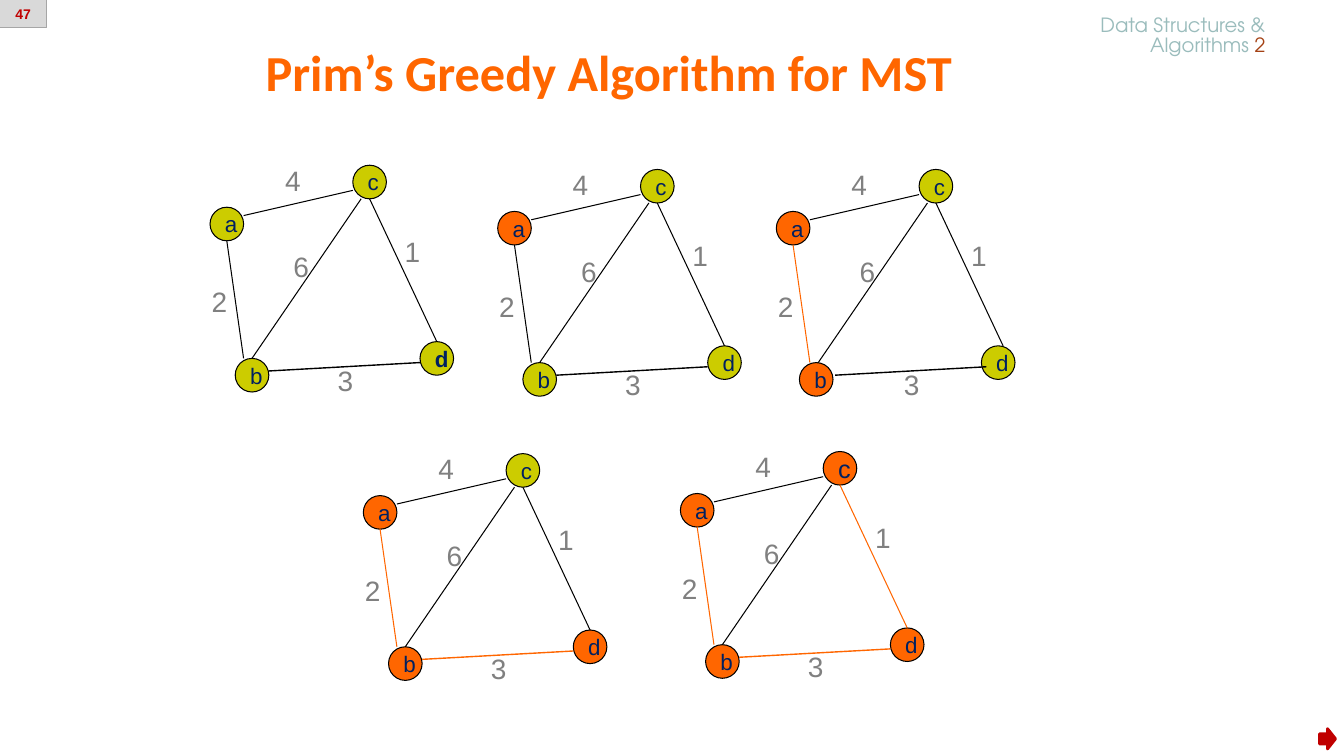
from dataclasses import dataclass

from pptx import Presentation
from pptx.dml.color import RGBColor
from pptx.enum.shapes import MSO_CONNECTOR, MSO_SHAPE
from pptx.enum.text import MSO_ANCHOR, PP_ALIGN
from pptx.oxml.ns import qn
from pptx.util import Pt


@dataclass(frozen=True)
class Theme:
    orange: str = "FF6600"
    olive: str = "CCCC00"
    navy: str = "002060"
    black: str = "000000"
    grey: str = "808080"
    teal: str = "9ABCBC"
    rust: str = "A44114"
    red: str = "C00000"
    badge: str = "D9D9D9"
    badge_line: str = "A6A6A6"
    body: str = "Arial"
    heading: str = "Calibri"
    course: str = "TeX Gyre Adventor"
    title_size: int = 36
    weight_size: int = 20
    node_size: int = 16
    big_node_size: int = 18
    course_size: int = 14
    page_size: int = 10


theme = Theme()


def style(paragraph, size, color, face=theme.body, bold=False, align=PP_ALIGN.LEFT):
    paragraph.alignment = align
    font = paragraph.font
    font.size, font.name, font.bold = Pt(size), face, bold
    font.color.rgb = RGBColor.from_string(color)


def add_solid(preset, x, y, w, h, fill, line, line_width):
    solid = slide.shapes.add_shape(preset, Pt(x), Pt(y), Pt(w), Pt(h))
    solid.shadow.inherit = False
    solid.fill.solid()
    solid.fill.fore_color.rgb = RGBColor.from_string(fill)
    solid.line.color.rgb = RGBColor.from_string(line)
    solid.line.width = Pt(line_width)
    solid.text_frame.vertical_anchor = MSO_ANCHOR.MIDDLE
    return solid


presentation = Presentation()
presentation.slide_width, presentation.slide_height = Pt(960), Pt(540)
slide = presentation.slides.add_slide(presentation.slide_layouts[6])

# Title
title = slide.shapes.add_textbox(Pt(157), Pt(33.8), Pt(556), Pt(42.5)).text_frame
title.word_wrap = True
title.vertical_anchor = MSO_ANCHOR.BOTTOM
title.text = "Prim’s Greedy Algorithm for MST"
style(title.paragraphs[0], theme.title_size, theme.orange, theme.heading, True, PP_ALIGN.CENTER)

# The weighted graph, measured from its own top left corner
NODE = 24
nodes = {"c": (102, 0), "d": (150, 126), "b": (18, 138), "a": (0, 30)}
# edge: start, end, line width, weight, place of the weight
edges = {
    "ac": ((24, 36), (102, 18), 0.75, "4", (46.5, -5)),
    "ab": ((24, 138), (12, 54), 0.75, "2", (-6, 82)),
    "bc": ((30, 138), (108, 24), 0.75, "6", (52.5, 57)),
    "cd": ((162, 126), (114, 24), 0.75, "1", (132, 46)),
    "bd": ((42, 147), (150, 141), 1, "3", (84, 138)),
}

# Stages: origin, nodes reached, edges chosen, nodes moved, bold node, larger node
stages = [
    ((150, 118), "", [], {}, "d", ""),
    ((355.5, 121), "a", [], {}, "", ""),
    ((554.5, 121), "ab", ["ab"], {"b": -1.5, "d": -3.5}, "", ""),
    ((259.5, 324), "abd", ["ab", "bd"], {}, "", ""),
    ((486, 322.5), "abcd", ["ab", "bd", "cd"], {}, "", "c"),
]

for (left, top), reached, chosen, moved, bold_node, big_node in stages:
    for letter, (x, y) in nodes.items():
        node = add_solid(
            MSO_SHAPE.OVAL, left + x + moved.get(letter, 0), top + y, NODE, NODE,
            theme.orange if letter in reached else theme.olive, theme.black, 0.75)
        node.text_frame.word_wrap = False
        node.text_frame.text = letter
        size = theme.big_node_size if letter == big_node else theme.node_size
        style(node.text_frame.paragraphs[0], size, theme.navy, bold=letter == bold_node)

    for name, ((x1, y1), (x2, y2), width, cost, (cost_x, cost_y)) in edges.items():
        edge = slide.shapes.add_connector(
            MSO_CONNECTOR.STRAIGHT, Pt(left + x1), Pt(top + y1), Pt(left + x2), Pt(top + y2))
        edge.line.color.rgb = RGBColor.from_string(
            theme.orange if name in chosen else theme.black)
        edge.line.width = Pt(width)
        properties = edge.element.spPr
        properties.append(properties.makeelement(qn("a:effectLst"), {}))

        weight = slide.shapes.add_textbox(
            Pt(left + cost_x), Pt(top + cost_y), Pt(26), Pt(31.5)).text_frame
        weight.word_wrap = False
        weight.text = cost
        style(weight.paragraphs[0], theme.weight_size, theme.grey)

# Course name
course = slide.shapes.add_textbox(Pt(752.5), Pt(8.5), Pt(158.5), Pt(35.5)).text_frame
course.word_wrap = True
course.text = "Data Structures &\nAlgorithms "
for line in course.paragraphs:
    style(line, theme.course_size, theme.teal, theme.course, align=PP_ALIGN.RIGHT)
    line.line_spacing = Pt(14)
course_number = course.paragraphs[1].add_run()
course_number.text = "2"
course_number.font.color.rgb = RGBColor.from_string(theme.rust)

# Next arrow and page number
add_solid(MSO_SHAPE.RIGHT_ARROW, 942.5, 520.5, 11.5, 14.5, theme.red, theme.red, 2)
page = add_solid(MSO_SHAPE.RECTANGLE, -0.5, 0, 34, 20, theme.badge, theme.badge_line, 0.75)
page.text_frame.text = "47"
style(page.text_frame.paragraphs[0], theme.page_size, theme.red, bold=True, align=PP_ALIGN.CENTER)

presentation.save("out.pptx")
